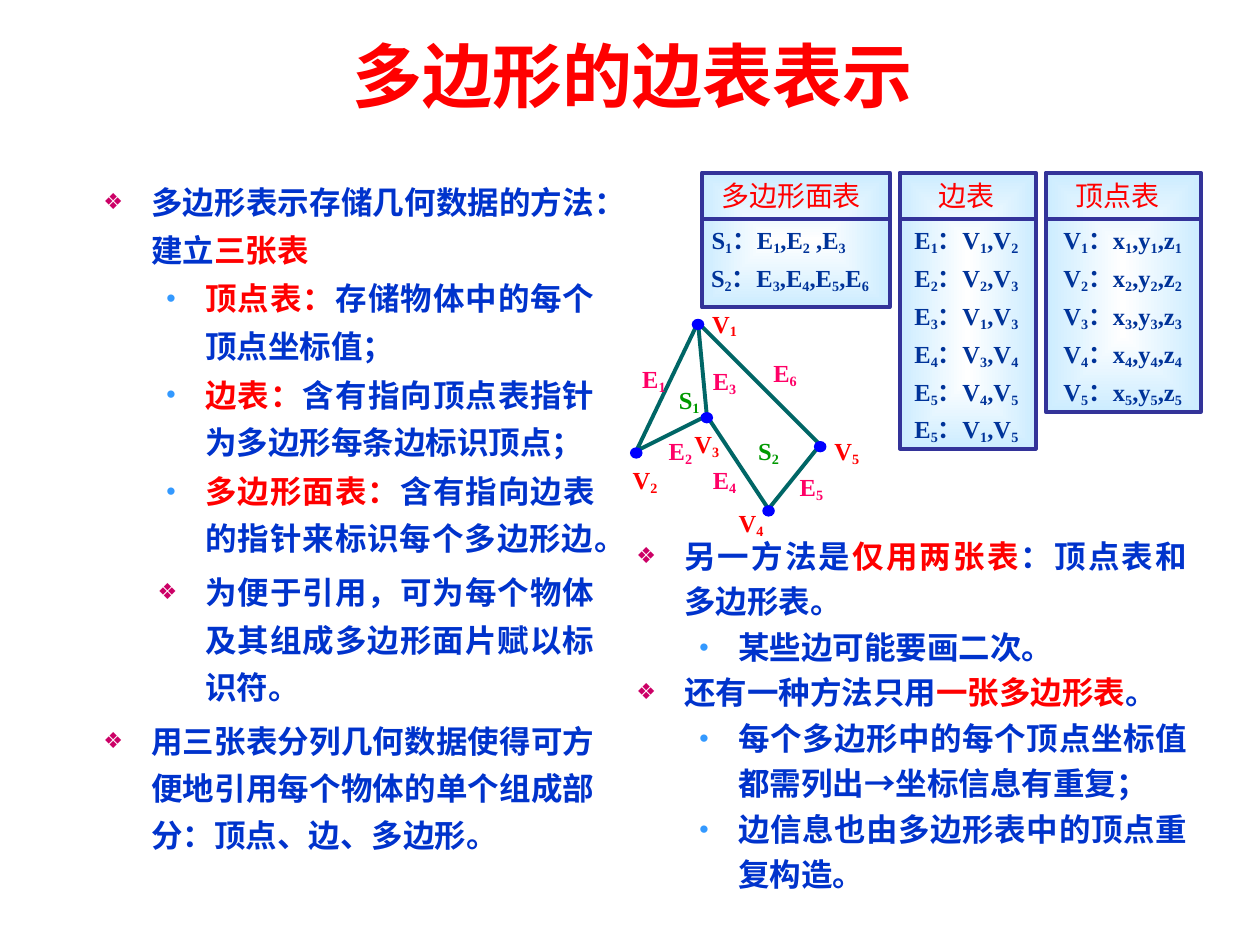
from itertools import groupby

from lxml import etree
from pptx import Presentation
from pptx.dml.color import RGBColor
from pptx.enum.shapes import MSO_CONNECTOR, MSO_SHAPE
from pptx.enum.text import MSO_ANCHOR, MSO_AUTO_SIZE, PP_ALIGN
from pptx.oxml.ns import qn
from pptx.util import Inches, Pt

OVAL, RECT = MSO_SHAPE.OVAL, MSO_SHAPE.RECTANGLE
STRAIGHT = MSO_CONNECTOR.STRAIGHT
CENTER, JUSTIFY = PP_ALIGN.CENTER, PP_ALIGN.JUSTIFY
MIDDLE, TOP = MSO_ANCHOR.MIDDLE, MSO_ANCHOR.TOP
NO_FIT = MSO_AUTO_SIZE.NONE

RED = RGBColor(0xFF, 0x00, 0x00)
BLUE = RGBColor(0x00, 0x33, 0xCC)
NAVY = RGBColor(0x00, 0x33, 0x99)
PINK = RGBColor(0xFF, 0x00, 0x66)
GREEN = RGBColor(0x00, 0x99, 0x00)
TEAL = RGBColor(0x00, 0x66, 0x66)
DOT = RGBColor(0x00, 0x00, 0xFF)
BORDER = RGBColor(0x33, 0x33, 0x99)
WHITE = RGBColor(0xFF, 0xFF, 0xFF)
PALE = RGBColor(0xCC, 0xEC, 0xFF)

SERIF, SANS, CJK = "Times New Roman", "Arial", "Noto Sans CJK SC"
DIAMOND = ("❖", "CC0066", 70)
ROUND = ("•", "3399FF", 85)

# level, bullet, left indent, hanging indent, space before, text with *red* parts
LEFT_ITEMS = [
    (0, DIAMOND, 0.38, 0.38, 0, "多边形表示存储几何数据的方法：建立*三张表*"),
    (1, ROUND, 0.81, 0.31, 1, "*顶点表：*存储物体中的每个顶点坐标值；"),
    (1, ROUND, 0.81, 0.31, 1, "*边表：*含有指向顶点表指针为多边形每条边标识顶点；"),
    (1, ROUND, 0.81, 0.31, 1, "*多边形面表：*含有指向边表的指针来标识每个多边形边。"),
    (2, DIAMOND, 0.81, 0.38, 4, "为便于引用，可为每个物体及其组成多边形面片赋以标识符。"),
    (0, DIAMOND, 0.38, 0.38, 4,
     "用三张表分列几何数据使得可方便地引用每个物体的单个组成部分：顶点、边、多边形。"),
]
RIGHT_ITEMS = [
    (0, DIAMOND, 0.38, 0.38, 0, "另一方法是*仅用两张表*：顶点表和多边形表。"),
    (1, ROUND, 0.81, 0.31, 0, "某些边可能要画二次。"),
    (0, DIAMOND, 0.38, 0.38, 0, "还有一种方法只用*一张多边形表*。"),
    (1, ROUND, 0.81, 0.31, 0, "每个多边形中的每个顶点坐标值都需列出→坐标信息有重复；"),
    (1, ROUND, 0.81, 0.31, 0, "边信息也由多边形表中的顶点重复构造。"),
]

# Vertices and labels, relative to the top left of the polygon drawing
VERTICES = [(0.64, 0.16), (0.15, 1.18), (0.71, 0.9), (1.61, 1.13), (1.2, 1.64)]
OUTLINE = [1, 0, 3, 4, 2]
LABELS = [
    (RED, "V", [(0.64, 0), (0.01, 1.24), (0.5, 0.96), (0.85, 1.58), (1.61, 1.01)]),
    (PINK, "E", [(0.08, 0.44), (0.29, 1.01), (0.64, 0.46), (0.64, 1.24),
                 (1.33, 1.3), (1.12, 0.39)]),
    (GREEN, "S", [(0.36, 0.61), (0.99, 1.01)]),
]

# box, heading centre, row centres, heading, rows
TABLES = [
    ((5.57, 1.37, 1.49, 1.07), 6.28, (6.18, 6.27), "多边形面表",
     ["S1：E1,E2 ,E3", "S2：E3,E4,E5,E6"]),
    ((7.14, 1.37, 1.08, 2.19), 7.67, (7.67,) * 6, "边表",
     ["E1：V1,V2", "E2：V2,V3", "E3：V1,V3", "E4：V3,V4", "E5：V4,V5", "E5：V1,V5"]),
    ((8.3, 1.37, 1.23, 1.9), 8.87, (8.91,) * 5, "顶点表",
     [f"V{i}：x{i},y{i},z{i}" for i in range(1, 6)]),
]
HEAD_H, ROW_STEP = 0.37, 0.3


def place(s, x, y, w, h):
    s.left, s.top, s.width, s.height = map(Inches, (x, y, w, h))


def add_run(p, text, size, color, font, bold=True):
    r = p.add_run()
    r.text = text
    r.font.size, r.font.bold, r.font.name = Pt(size), bold, font
    r.font.color.rgb = color
    rPr = r.font._element
    etree.SubElement(rPr, qn("a:ea")).set("typeface", CJK)
    return rPr


def add_label(shapes, box, text, size, color, bold=True):
    """Centred text whose digits are subscripts."""
    tf = shapes.add_textbox(*map(Inches, box)).text_frame
    p = tf.paragraphs[0]
    p.alignment = CENTER
    for is_digit, chars in groupby(text, str.isdigit):
        rPr = add_run(p, "".join(chars), size, color, SERIF, bold)
        if is_digit:
            rPr.set("baseline", "-16000")


def add_line(shapes, start, end, color):
    s = shapes.add_connector(STRAIGHT, *map(Inches, (*start, *end)))
    s.line.color.rgb, s.line.width = color, Pt(2.25)
    etree.SubElement(s._element.spPr, qn("a:effectLst"))


def add_bullet(p, char, color, percent):
    pPr = p._p.get_or_add_pPr()
    clr = etree.SubElement(pPr, qn("a:buClr"))
    etree.SubElement(clr, qn("a:srgbClr")).set("val", color)
    etree.SubElement(pPr, qn("a:buSzPct")).set("val", str(percent * 1000))
    etree.SubElement(pPr, qn("a:buFont")).set("typeface", SANS)
    etree.SubElement(pPr, qn("a:buChar")).set("char", char)


def fill_title(s, box):
    place(s, *box)
    tf = s.text_frame
    tf.auto_size, tf.vertical_anchor = NO_FIT, MIDDLE
    p = tf.paragraphs[0]
    p.alignment = CENTER
    add_run(p, "多边形的边表表示", 40, RED, SANS)


def fill_list(s, box, items, font, line_spacing):
    place(s, *box)
    tf = s.text_frame
    tf.auto_size, tf.vertical_anchor, tf.word_wrap = NO_FIT, TOP, True
    for i, (level, bullet, indent, hanging, before, text) in enumerate(items):
        p = tf.add_paragraph() if i else tf.paragraphs[0]
        p.level, p.alignment = level, JUSTIFY
        p.line_spacing, p.space_before = line_spacing, Pt(before)
        pPr = p._p.get_or_add_pPr()
        pPr.set("marL", str(Inches(indent)))
        pPr.set("indent", str(-Inches(hanging)))
        add_bullet(p, *bullet)
        for j, part in enumerate(text.split("*")):
            if part:
                add_run(p, part, 18, RED if j % 2 else BLUE, font)


def draw_polygons(shapes, left, top):
    points = [(left + x, top + y) for x, y in VERTICES]
    add_line(shapes, points[0], points[2], TEAL)
    first, *rest = [tuple(map(Inches, points[i])) for i in OUTLINE]
    builder = shapes.build_freeform(*first)
    builder.add_line_segments(rest, close=True)
    s = builder.convert_to_shape()
    s.shadow.inherit = False
    s.fill.background()
    s.line.color.rgb, s.line.width = TEAL, Pt(2.25)
    for x, y in points:
        s = shapes.add_shape(OVAL, *map(Inches, (x - 0.05, y + 0.01 - 0.04, 0.1, 0.09)))
        s.shadow.inherit = False
        s.fill.solid()
        s.fill.fore_color.rgb = DOT
        s.line.fill.background()
    for color, letter, spots in LABELS:
        for i, (x, y) in enumerate(spots, 1):
            add_label(shapes, (left + x, top + y, 0.42, 0.34), f"{letter}{i}", 14, color)


def add_glow(s):
    """Gradient from a white centre to a pale blue rim."""
    s.fill.gradient()
    for stop, color in zip(s.fill.gradient_stops, (WHITE, PALE)):
        stop.color.rgb = color
    grad = s._element.spPr.find(qn("a:gradFill"))
    grad.remove(grad.find(qn("a:lin")))
    shade = etree.SubElement(grad, qn("a:path"))
    shade.set("path", "shape")
    rect = etree.SubElement(shade, qn("a:fillToRect"))
    for side in "ltrb":
        rect.set(side, "50000")


def draw_table_card(shapes, box, head_center, row_centers, heading, rows):
    x, y, w, _ = box
    s = shapes.add_shape(RECT, *map(Inches, box))
    s.shadow.inherit = False
    add_glow(s)
    s.line.color.rgb, s.line.width = BORDER, Pt(2.25)
    body = y + HEAD_H
    add_line(shapes, (x, body), (x + w, body), BORDER)
    add_label(shapes, (head_center - 0.7, y, 1.4, HEAD_H), heading, 16, RED, False)
    for i, (center, row) in enumerate(zip(row_centers, rows)):
        add_label(shapes, (center - 0.79, body + i * ROW_STEP, 1.58, 0.33), row, 14, NAVY)


def main():
    prs = Presentation()
    prs.slide_width, prs.slide_height = Inches(10), Inches(7.5)
    slide = prs.slides.add_slide(prs.slide_layouts[3])
    title, left, right = list(slide.placeholders)[:3]
    fill_title(title, (2.12, 0.22, 5.8, 0.74))
    fill_list(left, (0.72, 1.33, 4.1, 5.6), LEFT_ITEMS, SERIF, 1.25)
    fill_list(right, (4.95, 4.15, 4.57, 2.99), RIGHT_ITEMS, SANS, Pt(26))
    draw_polygons(slide.shapes.add_group_shape().shapes, 4.9, 2.4)
    cards = slide.shapes.add_group_shape().shapes
    for table in TABLES:
        draw_table_card(cards, *table)
    prs.save("out.pptx")


if __name__ == "__main__":
    main()
